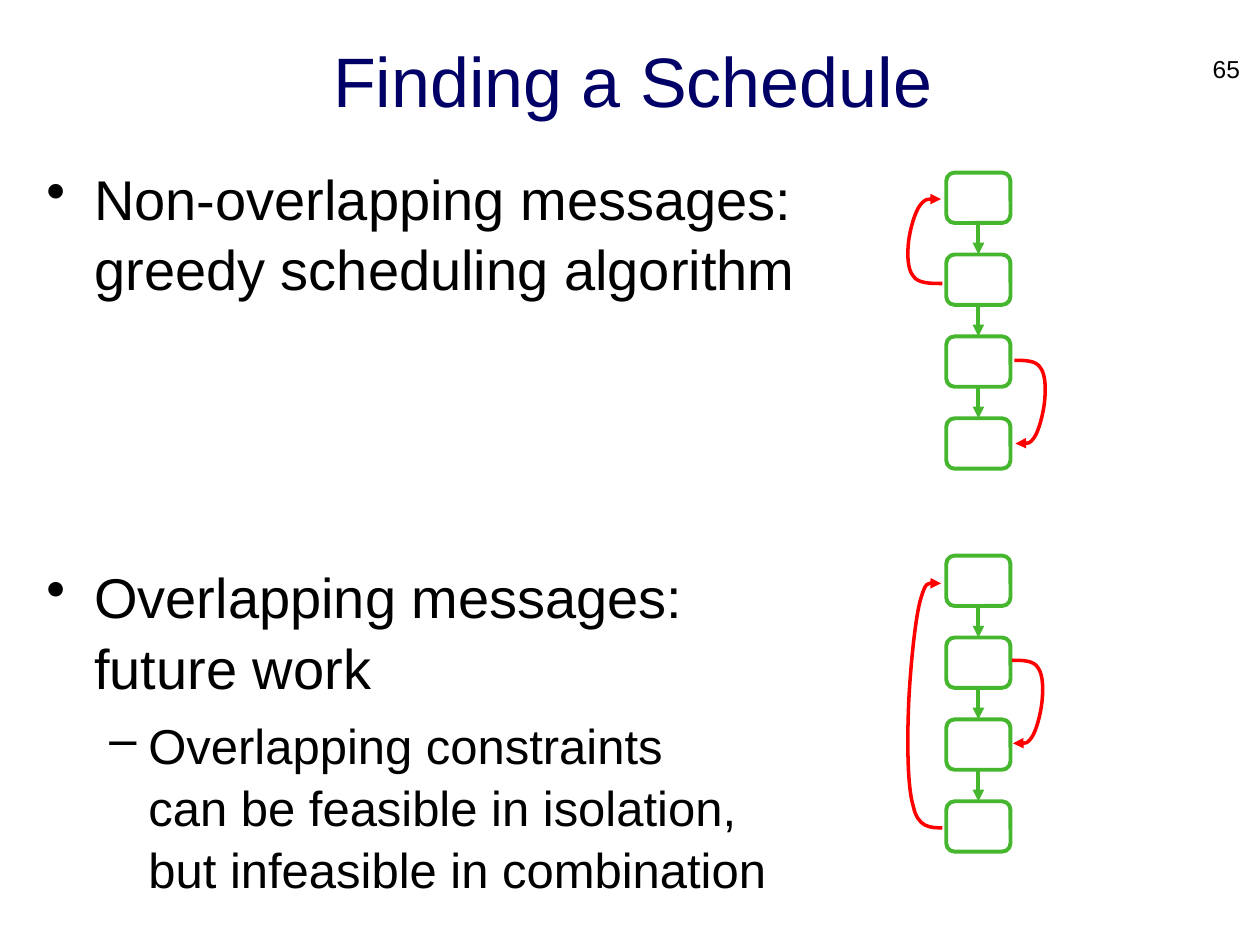
from lxml import etree
from pptx import Presentation
from pptx.dml.color import RGBColor
from pptx.enum.shapes import MSO_CONNECTOR, MSO_SHAPE
from pptx.enum.text import MSO_ANCHOR, PP_ALIGN
from pptx.oxml.ns import qn
from pptx.util import Inches, Pt

ROUND_RECT = MSO_SHAPE.ROUNDED_RECTANGLE
STRAIGHT = MSO_CONNECTOR.STRAIGHT
MIDDLE = MSO_ANCHOR.MIDDLE
CENTER = PP_ALIGN.CENTER
RIGHT = PP_ALIGN.RIGHT
TOP_SITE, BOTTOM_SITE = 0, 2

BOX_X, BOX_W, BOX_H, BOX_PITCH = 7.51, 0.51, 0.4, 0.65
ARC_POINTS = [
    (0, 0), (0.34, 0), (0.7, 0), (0.83, 0.09),
    (1, 0.17), (1, 0.36), (0.96, 0.5),
    (0.92, 0.64), (0.78, 0.85), (0.63, 0.93),
    (0.47, 1.01), (0.25, 1.01), (0.04, 1),
]


def color(hex_string):
    return RGBColor.from_string(hex_string)


class Deck:
    font = "Arial"
    ink = "000000"
    title_ink = "000066"
    box_line = "45B62E"
    arc_line = "FF0000"

    def __init__(self):
        self.prs = Presentation()
        self.prs.slide_width = Inches(10)
        self.prs.slide_height = Inches(7.5)
        self.s = self.prs.slides.add_slide(self.prs.slide_layouts[5])

    def format_runs(self, p, size, ink):
        for r in p.runs:
            r.font.name = self.font
            r.font.size = Pt(size)
            r.font.color.rgb = color(ink)

    def title(self, text, x, y, w, h):
        sp = self.s.shapes.title
        sp.left, sp.top, sp.width, sp.height = map(Inches, (x, y, w, h))
        tf = sp.text_frame
        tf.text = text
        tf.vertical_anchor = MIDDLE
        p = tf.paragraphs[0]
        p.alignment = CENTER
        self.format_runs(p, 40, self.title_ink)

    def text_box(self, x, y, w, h):
        tf = self.s.shapes.add_textbox(*map(Inches, (x, y, w, h))).text_frame
        tf.word_wrap = True
        return tf

    def page_number(self, text, x, y, w, h):
        p = self.text_box(x, y, w, h).paragraphs[0]
        p.text = text
        p.alignment = RIGHT
        self.format_runs(p, 14, self.ink)

    def bullets(self, items, x, y, w, h):
        tf = self.text_box(x, y, w, h)
        for i, (text, level, size, before) in enumerate(items):
            p = tf.add_paragraph() if i else tf.paragraphs[0]
            p.text = text
            p.level = level
            p.line_spacing = 1.05
            p.space_before = Pt(before)
            left, hang, mark = [(0.38, 0.38, "•"), (0.81, 0.31, "–")][level]
            pPr = p._p.get_or_add_pPr()
            pPr.set("marL", str(Inches(left)))
            pPr.set("indent", str(-Inches(hang)))
            etree.SubElement(pPr, qn("a:buChar")).set("char", mark)
            self.format_runs(p, size, self.ink)

    def outline(self, sp, ink, width):
        sp.line.color.rgb = color(ink)
        sp.line.width = Pt(width)

    def arrowhead(self, sp):
        ln = sp.line._get_or_add_ln()
        etree.SubElement(ln, qn("a:tailEnd")).set("type", "triangle")

    def box(self, x, y):
        sp = self.s.shapes.add_shape(
            ROUND_RECT, *map(Inches, (x, y, BOX_W, BOX_H)))
        sp.shadow.inherit = False
        sp.fill.background()
        self.outline(sp, self.box_line, 2.25)
        return sp

    def link(self, upper, lower):
        sp = self.s.shapes.add_connector(STRAIGHT, 0, 0, 0, 0)
        sp.begin_connect(upper, BOTTOM_SITE)
        sp.end_connect(lower, TOP_SITE)
        self.outline(sp, self.box_line, 2.25)
        self.arrowhead(sp)
        etree.SubElement(sp._element.spPr, qn("a:effectLst"))

    def chain(self, top):
        boxes = [self.box(BOX_X, top + i * BOX_PITCH) for i in range(4)]
        for upper, lower in zip(boxes, boxes[1:]):
            self.link(upper, lower)

    def arc(self, x, y, reach, drop):
        points = [(Inches(x + u * reach), Inches(y + v * drop))
                  for u, v in ARC_POINTS]
        builder = self.s.shapes.build_freeform(*points[0])
        builder.add_line_segments(points[1:], close=False)
        sp = builder.convert_to_shape()
        segments = list(sp._element.iter(qn("a:lnTo")))
        path = segments[0].getparent()
        for i in range(0, len(segments), 3):
            curve = etree.SubElement(path, qn("a:cubicBezTo"))
            for segment in segments[i:i + 3]:
                curve.append(segment[0])
                path.remove(segment)
        sp.shadow.inherit = False
        sp.fill.background()
        self.outline(sp, self.arc_line, 2)
        self.arrowhead(sp)


def main():
    deck = Deck()
    deck.title("Finding a Schedule", 0.29, 0.19, 9.46, 0.88)
    deck.bullets([
        ("Non-overlapping messages:\vgreedy scheduling algorithm", 0, 32, 0),
        ("Overlapping messages:\vfuture work", 0, 32, 147),
        ("Overlapping constraints\vcan be feasible in isolation,\v"
         "but infeasible in combination", 1, 28, 7),
    ], 0.27, 1.23, 9.47, 6.27)
    for top in (1.37, 4.41):
        deck.chain(top)
    for arc in [
        (8.05, 2.86, 0.25, 0.66),
        (7.48, 2.25, -0.28, -0.67),
        (8.03, 5.24, 0.25, 0.66),
        (7.48, 6.57, -0.28, -1.94),
    ]:
        deck.arc(*arc)
    deck.page_number("65", 9.46, 0.38, 0.48, 0.3)
    deck.prs.save("out.pptx")


if __name__ == "__main__":
    main()
